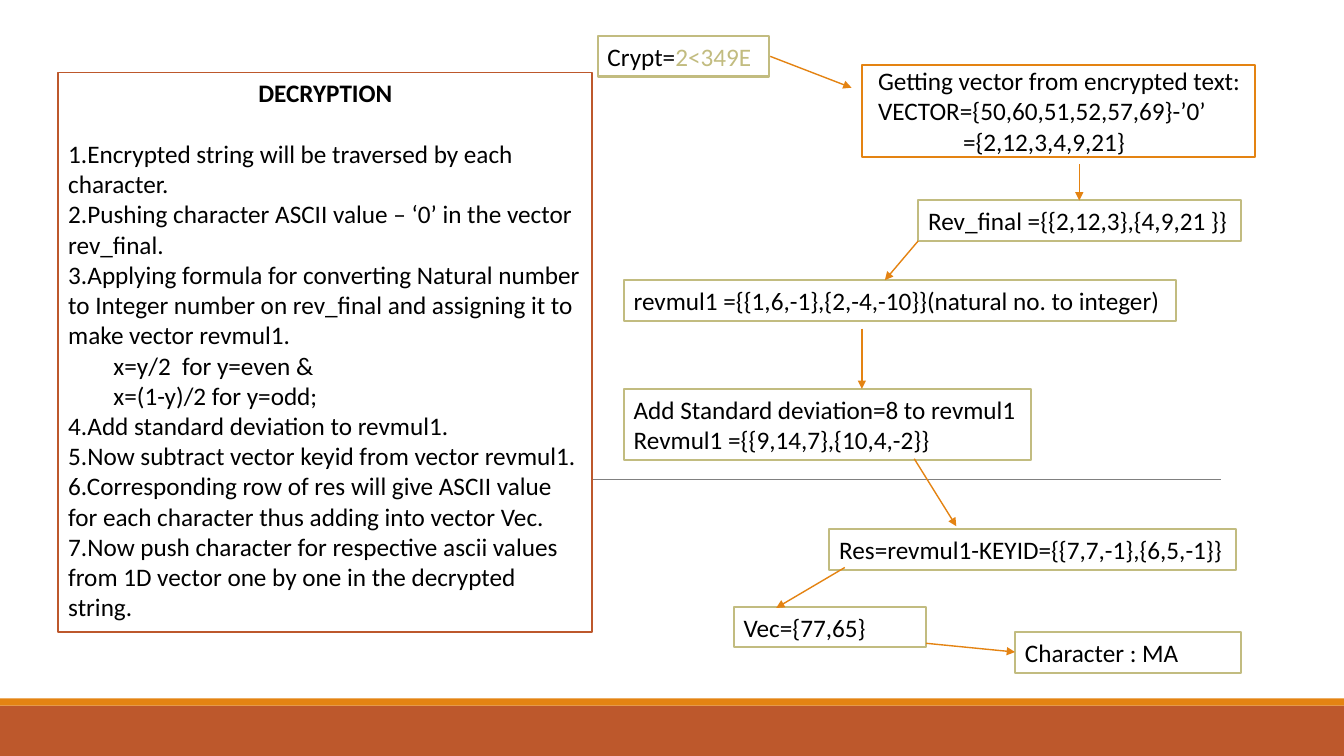
from dataclasses import dataclass

from pptx import Presentation
from pptx import util as u
from pptx.dml import color
from pptx.enum import shapes, text
from pptx.oxml import ns, xmlchemy


@dataclass(frozen=True)
class Theme:
    font: str = "Calibri"
    size: int = 18
    ink: str = "000000"
    paper: str = "FFFFFF"
    rust: str = "BD582C"
    orange: str = "E48312"
    olive: str = "C2BC80"
    grey: str = "808080"


THEME = Theme()

STEPS = [
    ("1.Encrypted string will be traversed by each character.", 0),
    ("2.Pushing character ASCII value – ‘0’ in the vector rev_final.", 0),
    ("3.Applying formula for converting Natural number to Integer number "
     "on rev_final and assigning it to make vector revmul1.", 0),
    ("x=y/2  for y=even &", 1.14),
    ("x=(1-y)/2 for y=odd;", 1.14),
    ("4.Add standard deviation to revmul1.", 0),
    ("5.Now subtract vector keyid from vector revmul1.", 0),
    ("6.Corresponding row of res will give ASCII value for each character "
     "thus adding into vector Vec.", 0),
    ("7.Now push character for respective ascii values from 1D vector "
     "one by one in the decrypted string.", 0),
]

VECTOR_LINES = [
    ("Getting vector from encrypted text:", 0),
    ("VECTOR={50,60,51,52,57,69}-’0’", 0),
    ("={2,12,3,4,9,21}", 2.14),
]

STAGES = [
    ((23.14, 5.05, 8.13, 1.02), ["Rev_final ={{2,12,3},{4,9,21 }}"]),
    ((15.72, 7.06, 13.92, 1.02),
     ["revmul1 ={{1,6,-1},{2,-4,-10}}(natural no. to integer)"]),
    ((15.72, 9.8, 10.26, 1.8),
     ["Add Standard deviation=8 to revmul1", "Revmul1 ={{9,14,7},{10,4,-2}}"]),
    ((20.9, 13.34, 10.26, 1.02), ["Res=revmul1-KEYID={{7,7,-1},{6,5,-1}}"]),
    ((18.49, 15.29, 4.85, 1.02), ["Vec={77,65}"]),
    ((25.58, 15.93, 5.69, 1.02), ["Character : MA"]),
]

ARROWS = [
    (19.41, 1.42, 21.46, 2.21),
    (27.2, 4.14, 27.2, 5.05),
    (23.14, 6.07, 22.3, 7.06),
    (21.72, 8.28, 21.72, 9.8),
    (23.04, 11.56, 24.1, 13.26),
    (21.29, 14.3, 19.56, 15.32),
    (23.34, 16.21, 25.58, 16.43),
]


def rgb(name):
    return color.RGBColor.from_string(name)


def add_box(page, place, fill=None, line=None, width=1.5):
    box = page.shapes.add_shape(
        shapes.MSO_SHAPE.RECTANGLE, *(u.Cm(length) for length in place))
    box.shadow.inherit = False
    if fill:
        box.fill.solid()
        box.fill.fore_color.rgb = rgb(fill)
    else:
        box.fill.background()
    if line:
        box.line.color.rgb = rgb(line)
        box.line.width = u.Pt(width)
    else:
        box.line.fill.background()
    return box


def style_span(span, ink=THEME.ink, bold=False):
    span.font.name = THEME.font
    span.font.size = u.Pt(THEME.size)
    span.font.color.rgb = rgb(ink)
    span.font.bold = bold


def write_lines(box, lines, wrap=False, inset=(0.25, 0.13)):
    frame = box.text_frame
    frame.word_wrap = wrap
    frame.vertical_anchor = text.MSO_ANCHOR.TOP
    frame.margin_left = frame.margin_right = u.Cm(inset[0])
    frame.margin_top = frame.margin_bottom = u.Cm(inset[1])
    frame.text = "\n".join(line for line, _ in lines)
    for para, (_, indent) in zip(frame.paragraphs, lines):
        para.alignment = text.PP_ALIGN.LEFT
        para._p.get_or_add_pPr().set("marL", str(u.Cm(indent)))
        for span in para.runs:
            style_span(span)
    return frame


def add_line(page, ends, ink, width, arrow=False):
    line = page.shapes.add_connector(
        shapes.MSO_CONNECTOR.STRAIGHT, *(u.Cm(length) for length in ends))
    line.line.color.rgb = rgb(ink)
    line.line.width = u.Pt(width)
    if arrow:
        head = xmlchemy.OxmlElement("a:tailEnd")
        head.set("type", "triangle")
        line._element.spPr.find(ns.qn("a:ln")).append(head)
    line._element.spPr.append(xmlchemy.OxmlElement("a:effectLst"))


def add_steps_panel(page):
    panel = add_box(page, (1.47, 1.83, 13.46, 14.1),
                    THEME.paper, THEME.rust, 1.25)
    frame = write_lines(panel, [("DECRYPTION", 0)] + STEPS, wrap=True)
    title = frame.paragraphs[0]
    title.alignment = text.PP_ALIGN.CENTER
    title.space_after = u.Cm(0.76)
    title.runs[0].font.bold = True


def add_crypt_box(page):
    box = add_box(page, (15.06, 0.91, 4.32, 1.02), line=THEME.olive)
    frame = write_lines(box, [("Crypt=", 0)])
    span = frame.paragraphs[0].add_run()
    span.text = "2<349E"
    style_span(span, THEME.olive)


def main():
    deck = Presentation()
    deck.slide_width, deck.slide_height = u.Cm(33.87), u.Cm(19.05)
    page = deck.slides.add_slide(deck.slide_layouts[6])

    add_box(page, (0, 17.78, 33.87, 1.27), THEME.rust)
    add_box(page, (0, 17.6, 33.87, 0.18), THEME.orange)
    add_line(page, (3.35, 12.07, 30.78, 12.07), THEME.grey, 0.5)
    add_steps_panel(page)
    add_crypt_box(page)
    for place, lines in STAGES:
        box = add_box(page, place, line=THEME.olive)
        write_lines(box, [(line, 0) for line in lines])
    vector = add_box(page, (21.72, 1.65, 9.91, 2.31), line=THEME.orange)
    write_lines(vector, VECTOR_LINES, inset=(0.41, 0))
    for ends in ARROWS:
        add_line(page, ends, THEME.orange, 1, arrow=True)

    deck.save("out.pptx")


if __name__ == "__main__":
    main()
